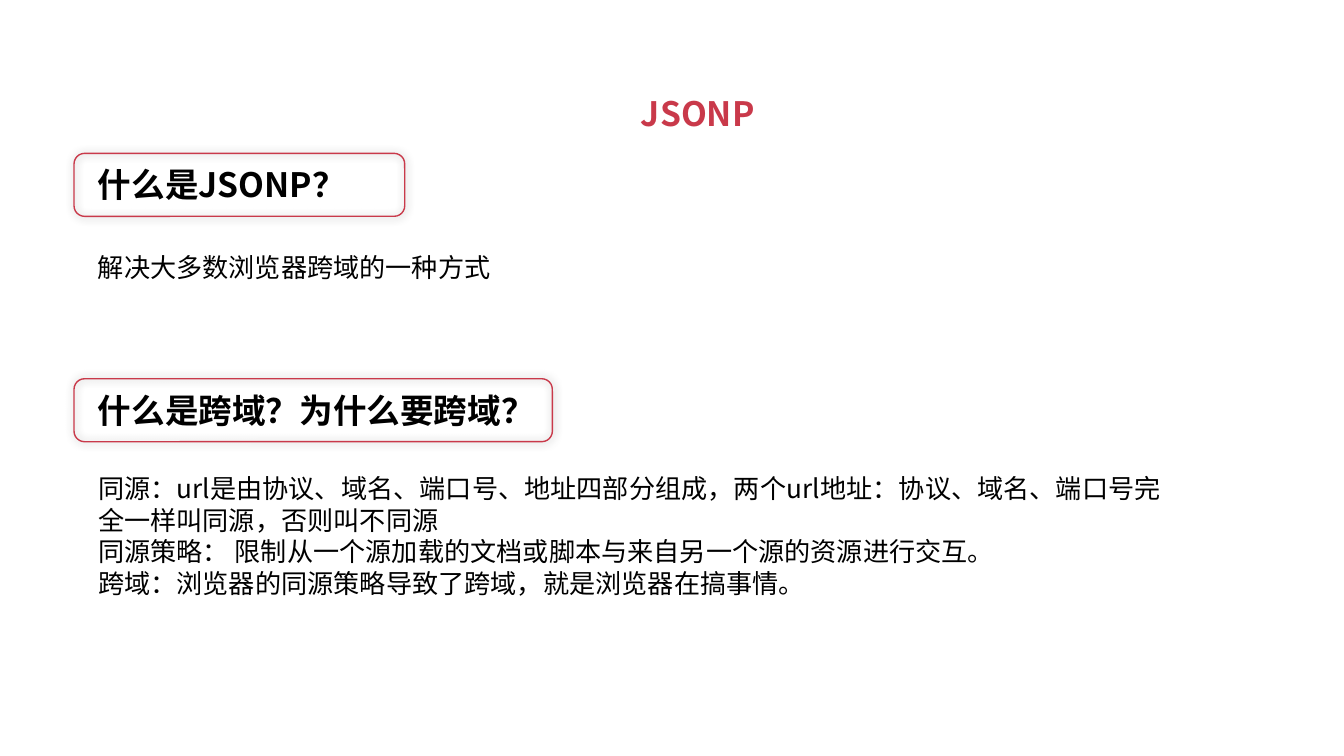
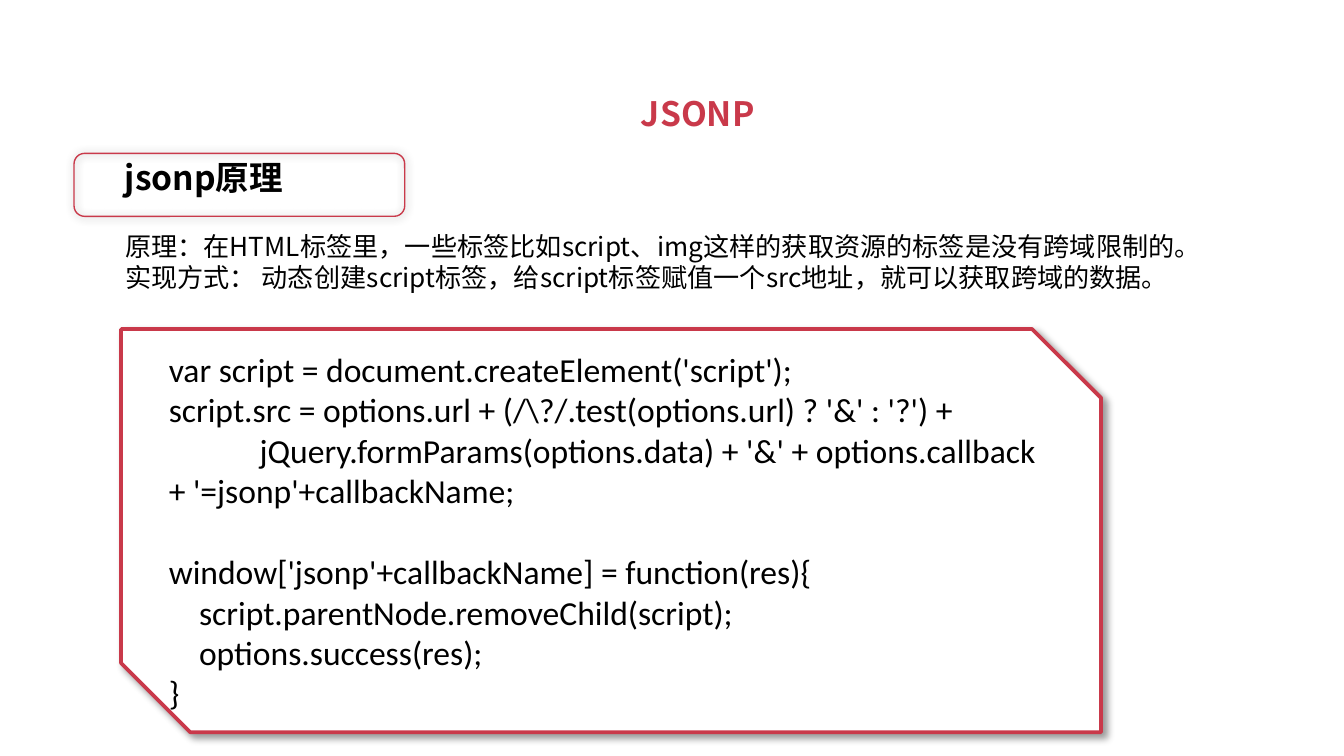
"""Build two slides that explain JSONP and how it works."""
from lxml import etree
from pptx import Presentation
from pptx.dml.color import RGBColor
from pptx.enum.shapes import MSO_SHAPE
from pptx.enum.text import MSO_ANCHOR, MSO_AUTO_SIZE, PP_ALIGN
from pptx.oxml.ns import qn
from pptx.util import Cm, Pt

FRAME, CARD = MSO_SHAPE.FLOWCHART_ALTERNATE_PROCESS, MSO_SHAPE.SNIP_2_DIAG_RECTANGLE
TOP, MIDDLE = MSO_ANCHOR.TOP, MSO_ANCHOR.MIDDLE
GROW, FIXED = MSO_AUTO_SIZE.SHAPE_TO_FIT_TEXT, MSO_AUTO_SIZE.NONE
LEFT = PP_ALIGN.LEFT

COLORS = {"accent": "C9394A", "text": "000000", "card": "FFFFFF", "shadow": "000000"}
CJK, LATIN = "Noto Sans CJK SC", "Calibri"
HEAD_SIZE, BODY_SIZE = 18, 14
TITLE_BOX = (11.86, 1.63, 2.67, 1.02)
FRAME_LEFT, FRAME_HEIGHT = 1.4, 1.19
HEAD_HEIGHT = 1.02
CODE_BOX = (2.29, 6.22, 18.52, 7.62)
SNIP = 0.171
SPACE_WIDTH = 0.143
LINE_HEIGHT = 22

SLIDES = [
    {
        "title": "JSONP",
        "left": 1.6,
        "heads": [
            {"text": "什么是JSONP？", "top": 2.97, "frame_top": 2.9, "frame_width": 6.25},
            {"text": "什么是跨域？为什么要跨域？", "top": 7.24, "frame_top": 7.16, "frame_width": 9.04},
        ],
        "note": {"text": "解决大多数浏览器跨域的一种方式", "box": (4.62, 20.78, 0.86)},
        "body": {
            "lines": [
                "同源：url是由协议、域名、端口号、地址四部分组成，两个url地址：协议、域名、端口号完全一样叫同源，否则叫不同源",
                "同源策略： 限制从一个源加载的文档或脚本与来自另一个源的资源进行交互。",
                "跨域：浏览器的同源策略导致了跨域，就是浏览器在搞事情。",
            ],
            "box": (8.81, 20.78, 2.64),
        },
    },
    {
        "title": "JSONP",
        "left": 2.11,
        "heads": [{"text": "jsonp原理", "top": 2.84, "frame_top": 2.9, "frame_width": 6.25}],
        "body": {
            "lines": [
                "原理：在HTML标签里，一些标签比如script、img这样的获取资源的标签是没有跨域限制的。",
                "实现方式： 动态创建script标签，给script标签赋值一个src地址，就可以获取跨域的数据。",
            ],
            "box": (4.22, 22.58, 1.45),
        },
        "code": [
            ("var script = document.createElement('script');", 0, 0),
            ("script.src = options.url + (/\\?/.test(options.url) ? '&' : '?') +", 0, 0),
            ("jQuery.formParams(options.data) + '&' + options.callback + '=jsonp'+callbackName;", 12, 0),
            ("window['jsonp'+callbackName] = function(res){", 0, 1),
            ("script.parentNode.removeChild(script);", 4, 0),
            ("options.success(res);", 4, 0),
            ("}", 0, 0),
        ],
    },
]


def rgb(name):
    return RGBColor.from_string(COLORS[name])


def place(sp, box):
    sp.left, sp.top, sp.width, sp.height = map(Cm, box)


def write(sp, lines, size, font=CJK, color="text", bold=False, anchor=TOP, fit=GROW, wrap=True):
    tf = sp.text_frame
    tf.text = "\n".join(lines)
    tf.word_wrap, tf.auto_size, tf.vertical_anchor = wrap, fit, anchor
    for p in tf.paragraphs:
        p.alignment, p.space_before = LEFT, Pt(0)
        for r in p.runs:
            r.font.name, r.font.size, r.font.bold = font, Pt(size), bold
            r.font.color.rgb = rgb(color)
            ea = etree.SubElement(r.font._element, qn("a:ea"))
            ea.set("typeface", font)
    return tf


def add_text(s, box, text, size, bold=False):
    sp = s.shapes.add_textbox(*map(Cm, box))
    write(sp, [text], size, bold=bold)


def add_outline(s, kind, box, line_width, blur, dist=0, angle=0):
    sp = s.shapes.add_shape(kind, *map(Cm, box))
    sp.fill.background()
    sp.line.color.rgb = rgb("accent")
    sp.line.width = Pt(line_width)
    sp.shadow.inherit = False
    effects = sp._element.spPr.find(qn("a:effectLst"))
    shadow = etree.SubElement(effects, qn("a:outerShdw"), blurRad=str(Pt(blur)), dist=str(Pt(dist)),
                              dir=str(angle * 60000), algn="ctr", rotWithShape="0")
    clr = etree.SubElement(shadow, qn("a:srgbClr"), val=COLORS["shadow"])
    etree.SubElement(clr, qn("a:alpha"), val="40000")
    return sp


def fill_body(sp, left, body):
    top, width, height = body["box"]
    place(sp, (left, top, width, height))
    tf = write(sp, body["lines"], BODY_SIZE, fit=FIXED)
    for p in tf.paragraphs:
        pPr = p._p.get_or_add_pPr()
        pPr.set("marL", "0")
        pPr.set("indent", "0")
        etree.SubElement(pPr, qn("a:buNone"))


def add_code(s, code):
    sp = add_outline(s, CARD, CODE_BOX, 2, 4, 3, 45)
    sp.adjustments[0], sp.adjustments[1] = 0, SNIP
    sp.fill.solid()
    sp.fill.fore_color.rgb = rgb("card")
    tf = write(sp, [text for text, _, _ in code], HEAD_SIZE, LATIN, anchor=MIDDLE, fit=FIXED)
    for p, (_, spaces, gap) in zip(tf.paragraphs, code):
        p.space_before = Pt(gap * LINE_HEIGHT)
        p._p.get_or_add_pPr().set("indent", str(Cm(spaces * SPACE_WIDTH)))


def build(prs, content):
    s = prs.slides.add_slide(prs.slide_layouts[1])
    title, body = s.placeholders
    place(title, TITLE_BOX)
    write(title, [content["title"]], HEAD_SIZE, color="accent", bold=True, wrap=False)
    left = content["left"]
    fill_body(body, left, content["body"])
    for head in content["heads"]:
        add_text(s, (left, head["top"], 20.78, HEAD_HEIGHT), head["text"], HEAD_SIZE, True)
    if "note" in content:
        add_text(s, (left, *content["note"]["box"]), content["note"]["text"], BODY_SIZE)
    if "code" in content:
        add_code(s, content["code"])
    for head in content["heads"]:
        box = (FRAME_LEFT, head["frame_top"], head["frame_width"], FRAME_HEIGHT)
        add_outline(s, FRAME, box, 0.75, 5)


prs = Presentation()
prs.slide_width, prs.slide_height = Cm(25.4), Cm(14.29)
for content in SLIDES:
    build(prs, content)
prs.save("out.pptx")
